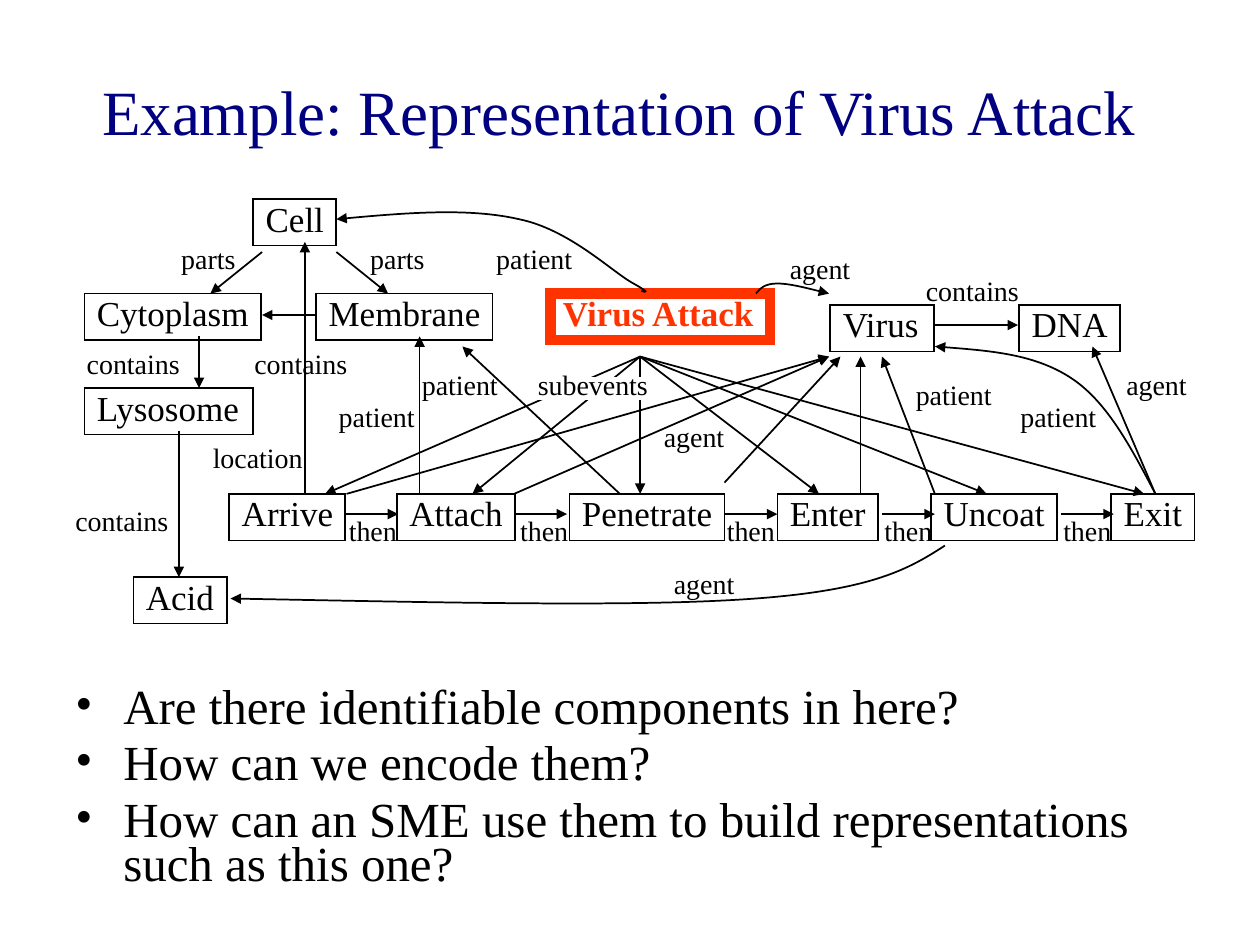
from lxml import etree
from pptx import Presentation
from pptx.dml.color import RGBColor
from pptx.enum import shapes, text
from pptx.oxml import ns
from pptx.util import Inches, Pt

FONT = "Times New Roman"
COLORS = {"title": "000080", "ink": "000000", "accent": "FF3300", "paper": "FFFFFF"}

TITLE = "Example: Representation of Virus Attack"
QUESTIONS = [
    "Are there identifiable components in here?",
    "How can we encode them?",
    "How can an SME use them to build representations such as this one?",
]

BOX_HEIGHT = 0.37
EVENT_TOP = 3.92
# name, left, width
EVENTS = [
    ("Arrive", 1.82, 0.92), ("Attach", 3.15, 0.94), ("Penetrate", 4.52, 1.23),
    ("Enter", 6.17, 0.80), ("Uncoat", 7.39, 1.00), ("Exit", 8.82, 0.66),
]
# name, left, top, width
ENTITIES = [
    ("Cell", 2.01, 1.58, 0.66), ("Membrane", 2.51, 2.33, 1.40),
    ("Cytoplasm", 0.67, 2.33, 1.40), ("Lysosome", 0.67, 3.08, 1.34),
    ("Acid", 1.06, 4.58, 0.74), ("Virus", 6.59, 2.42, 0.82), ("DNA", 8.09, 2.42, 0.80),
]
ATTACK = ("Virus Attack", 4.37, 2.33, 1.74)

# "then" steps: arrow start, label left
STEPS = [(2.74, 2.67), (4.08, 4.03), (5.75, 5.67), (7.00, 6.92), (8.42, 8.34)]
STEP_TOP, STEP_LENGTH = 4.08, 0.42
SUBEVENT_ORIGIN = (5.08, 2.83)
SUBEVENT_ENDS = [2.58, 3.75, 5.08, 6.50, 7.83, 9.08]

# start, end (arrowhead at the end)
ROLE_ARROWS = [
    ((4.92, 3.92), (3.67, 2.75)), ((3.33, 3.92), (3.33, 2.67)),
    ((2.75, 3.92), (6.58, 2.83)), ((4.08, 3.92), (6.58, 2.83)),
    ((5.75, 3.83), (6.67, 2.83)), ((6.83, 3.92), (6.83, 2.83)),
    ((7.42, 3.92), (7.00, 2.83)), ((9.17, 3.92), (8.67, 2.75)),
    ((2.42, 3.92), (2.42, 1.92)),
]
PART_ARROWS = [
    ((2.08, 2.00), (1.67, 2.33)), ((2.67, 2.00), (3.08, 2.33)),
    ((2.50, 2.50), (2.08, 2.50)), ((1.58, 2.67), (1.58, 3.08)),
    ((1.42, 3.42), (1.42, 4.58)), ((7.42, 2.58), (8.08, 2.58)),
]
# Bezier curves: start, then two control points and an end per segment
CURVES = [
    [(7.50, 4.33), (7.22, 4.51), (6.94, 4.68), (6.00, 4.75),
     (5.06, 4.82), (3.44, 4.78), (1.83, 4.75)],
    [(5.09, 2.31), (5.13, 2.32), (5.17, 2.33), (5.01, 2.24), (4.84, 2.14),
     (4.51, 1.82), (4.12, 1.74), (3.73, 1.65), (3.20, 1.69), (2.67, 1.74)],
    [(6.00, 2.33), (6.03, 2.29), (6.07, 2.25), (6.17, 2.25),
     (6.26, 2.25), (6.42, 2.29), (6.58, 2.33)],
    [(9.17, 3.92), (8.98, 3.56), (8.79, 3.19), (8.50, 3.00),
     (8.21, 2.81), (7.81, 2.78), (7.42, 2.75)],
]

# word: (width, [(left, top), ...])
LABEL_HEIGHT = 0.32
LABELS = {
    "agent": (0.68, [(8.84, 2.92), (5.17, 3.33), (6.17, 2.00), (5.25, 4.50)]),
    "location": (0.91, [(1.59, 3.50)]),
    "patient": (0.80, [(3.84, 1.92), (3.25, 2.92), (2.59, 3.17), (7.17, 3.00), (8.00, 3.17)]),
    "parts": (0.63, [(1.34, 1.92), (2.84, 1.92)]),
    "contains": (0.94, [(0.59, 2.75), (7.25, 2.17), (0.50, 4.00), (1.92, 2.75)]),
    "then": (0.58, [(left, STEP_TOP) for _, left in STEPS]),
    "subevents": (1.07, [(4.17, 2.92)]),
}
SUBEVENTS_BACKING = (4.25, 3.00, 0.92, 0.17)


def rgb(name):
    return RGBColor.from_string(COLORS[name])


def inches(values):
    return [Inches(value) for value in values]


def style(paragraph, size, color="ink", spacing=None, bold=False):
    paragraph.font.name = FONT
    paragraph.font.size = Pt(size)
    paragraph.font.bold = bold
    paragraph.font.color.rgb = rgb(color)
    paragraph.line_spacing = spacing


def fill_label(shape, words, size, color="ink", bold=False):
    """Put one unwrapped, left-aligned line in a shape that fits its text."""
    frame = shape.text_frame
    frame.text = words
    frame.word_wrap = False
    frame.auto_size = text.MSO_AUTO_SIZE.SHAPE_TO_FIT_TEXT
    frame.vertical_anchor = text.MSO_ANCHOR.TOP
    frame.margin_right = Inches(0.05)
    paragraph = frame.paragraphs[0]
    paragraph.alignment = text.PP_ALIGN.LEFT
    style(paragraph, size, color, 0.8, bold)


def add_rectangle(slide, bounds, line="ink", width=1):
    shape = slide.shapes.add_shape(shapes.MSO_SHAPE.RECTANGLE, *inches(bounds))
    shape.shadow.inherit = False
    shape.fill.background()
    shape.line.color.rgb = rgb(line)
    shape.line.width = Pt(width)
    etree.SubElement(shape.line._get_or_add_ln(), ns.qn("a:miter"), lim="800000")
    return shape


def add_box(slide, name, left, top, width, color="ink", line_width=1, bold=False):
    shape = add_rectangle(slide, (left, top, width, BOX_HEIGHT), color, line_width)
    fill_label(shape, name, 20, color, bold)


def finish_arrow(shape):
    shape.line.color.rgb = rgb("ink")
    shape.line.width = Pt(1)
    etree.SubElement(shape.line._get_or_add_ln(), ns.qn("a:tailEnd"), type="triangle")


def add_arrow(slide, start, end):
    connector = slide.shapes.add_connector(
        shapes.MSO_CONNECTOR.STRAIGHT, *inches(start + end))
    finish_arrow(connector)
    etree.SubElement(connector._element.spPr, ns.qn("a:effectLst"))


def add_curve(slide, points):
    """Build a line through all points, then join each three into a Bezier segment."""
    start, *rest = [tuple(inches(point)) for point in points]
    builder = slide.shapes.build_freeform(*start)
    builder.add_line_segments(rest, close=False)
    shape = builder.convert_to_shape()
    lines = shape._element.findall(".//" + ns.qn("a:lnTo"))
    for index in range(0, len(lines), 3):
        segment = etree.Element(ns.qn("a:cubicBezTo"))
        lines[index].addprevious(segment)
        for line in lines[index:index + 3]:
            segment.append(line[0])
            line.getparent().remove(line)
    shape.shadow.inherit = False
    shape.fill.background()
    finish_arrow(shape)


def add_title(slide):
    frame = slide.shapes.add_textbox(*inches((0.5, 0.25, 8.83, 1.25))).text_frame
    frame.text = TITLE
    frame.word_wrap = True
    frame.vertical_anchor = text.MSO_ANCHOR.MIDDLE
    frame.paragraphs[0].alignment = text.PP_ALIGN.CENTER
    style(frame.paragraphs[0], 36, "title")


def add_questions(slide):
    frame = slide.shapes.add_textbox(*inches((0.5, 5.42, 9.08, 2.33))).text_frame
    frame.text = "\n".join(QUESTIONS)
    frame.word_wrap = True
    for paragraph in frame.paragraphs:
        style(paragraph, 28, spacing=0.75)
        paragraph.space_before = Pt(7)
        properties = paragraph._p.get_or_add_pPr()
        properties.set("marL", str(Inches(0.38)))
        properties.set("indent", str(Inches(-0.38)))
        run_defaults = properties.find(ns.qn("a:defRPr"))
        for tag, attributes in (("a:buFont", {"typeface": FONT}), ("a:buChar", {"char": "•"})):
            run_defaults.addprevious(etree.Element(ns.qn(tag), attributes))


def main():
    presentation = Presentation()
    presentation.slide_width, presentation.slide_height = Inches(10), Inches(7.5)
    slide = presentation.slides.add_slide(presentation.slide_layouts[6])

    add_title(slide)
    for name, left, width in EVENTS:
        add_box(slide, name, left, EVENT_TOP, width)
    for entity in ENTITIES:
        add_box(slide, *entity)
    add_box(slide, *ATTACK, color="accent", line_width=6, bold=True)

    steps = [((x, STEP_TOP), (x + STEP_LENGTH, STEP_TOP)) for x, _ in STEPS]
    subevents = [(SUBEVENT_ORIGIN, (x, EVENT_TOP)) for x in SUBEVENT_ENDS]
    for start, end in steps + subevents + ROLE_ARROWS + PART_ARROWS:
        add_arrow(slide, start, end)
    for points in CURVES:
        add_curve(slide, points)

    backing = add_rectangle(slide, SUBEVENTS_BACKING, "paper")
    backing.fill.solid()
    backing.fill.fore_color.rgb = rgb("paper")
    for word, (width, places) in LABELS.items():
        for left, top in places:
            label = slide.shapes.add_textbox(*inches((left, top, width, LABEL_HEIGHT)))
            fill_label(label, word, 16)
    add_questions(slide)
    presentation.save("out.pptx")


if __name__ == "__main__":
    main()
